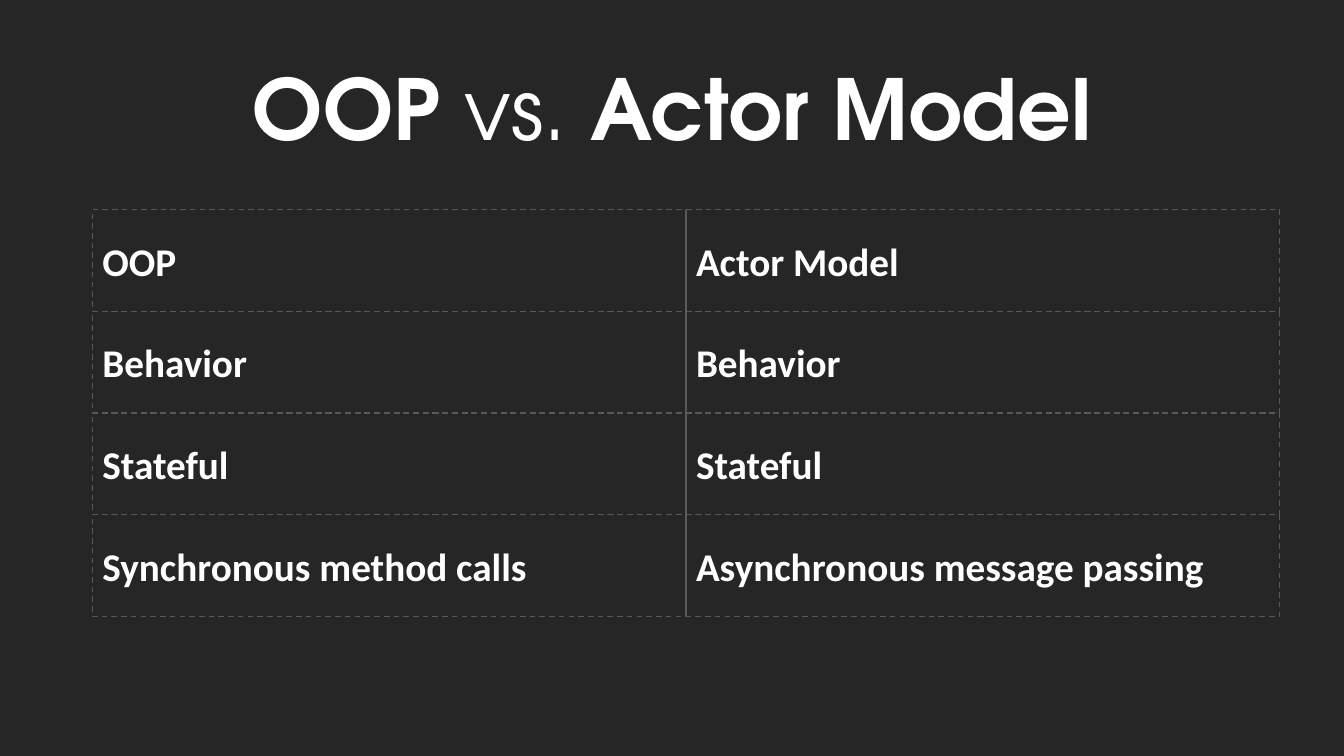
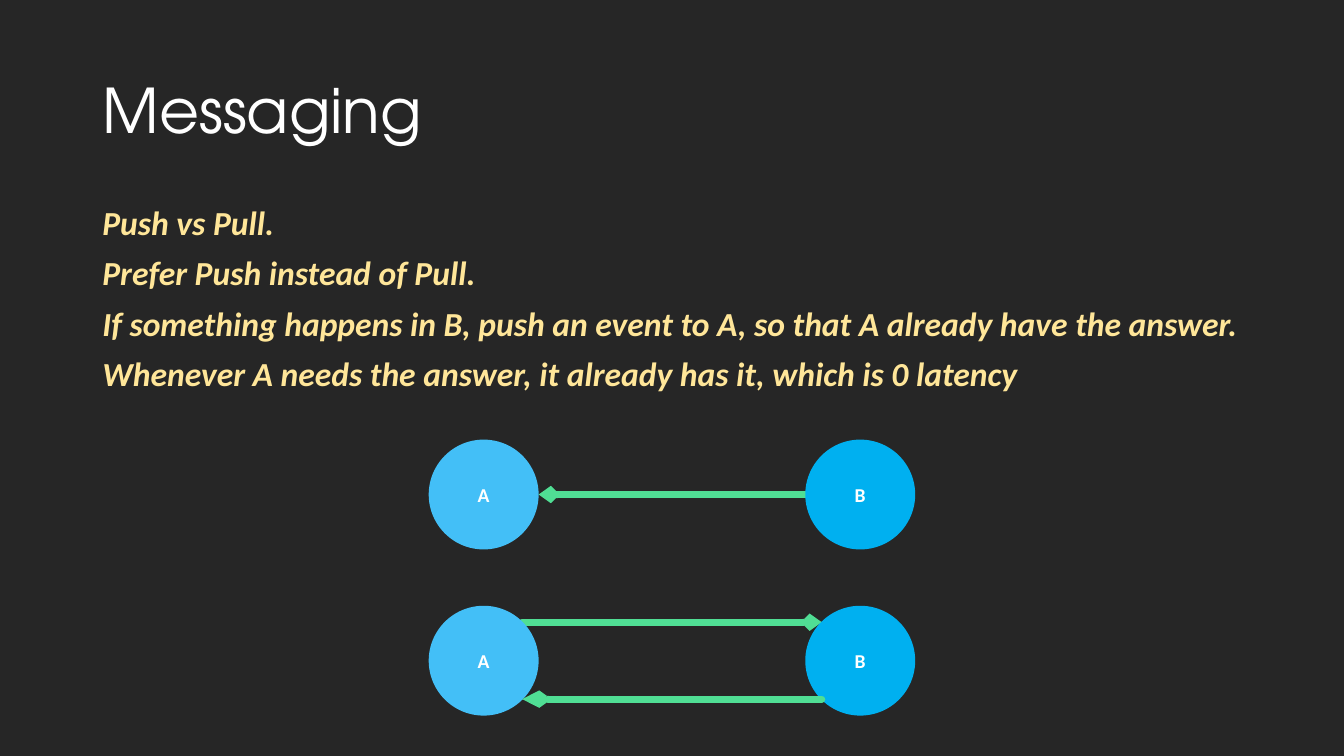
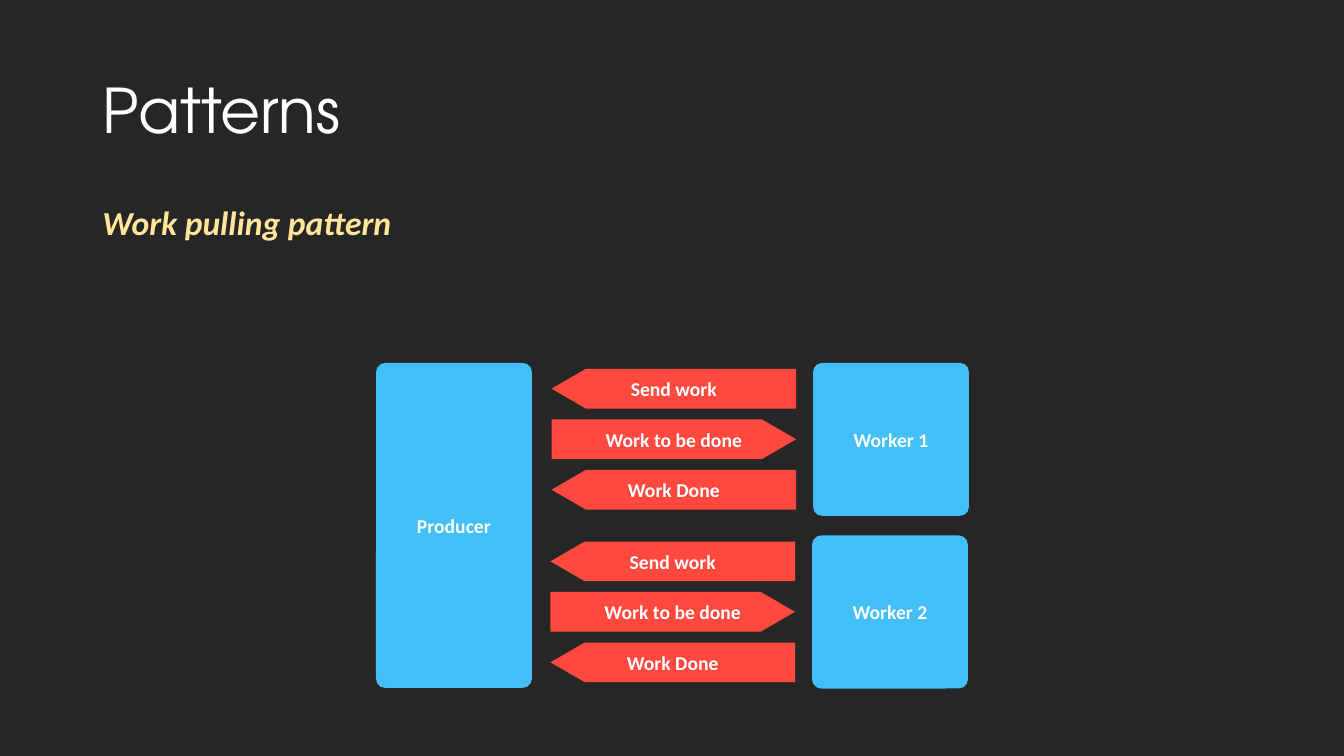
from dataclasses import dataclass

from pptx import Presentation, util as u
from pptx.dml.color import RGBColor
from pptx.enum import dml, shapes, text
from pptx.oxml import parse_xml
from pptx.oxml.ns import nsdecls

KIND = shapes.MSO_SHAPE
MID = text.MSO_ANCHOR.MIDDLE
LEFT, CENTER = text.PP_ALIGN.LEFT, text.PP_ALIGN.CENTER


@dataclass(frozen=True)
class Theme:
    back: str = "262626"
    ink: str = "FFFFFF"
    sand: str = "FFE699"
    rule: str = "595959"
    sky: str = "43BFF7"
    blue: str = "00B0F0"
    green: str = "50DE94"
    red: str = "FF493E"
    head: str = "TeX Gyre Adventor"
    body: str = "Calibri"
    hero: int = 60
    title: int = 44
    cell: int = 28
    lead: int = 24
    label: int = 14


T = Theme()


def write(frame, *lines, size=T.label, font=T.body, color=T.ink, bold=True,
          italic=False, align=CENTER, anchor=MID, space=1.0, gap=0):
    """Fill a frame; a line is a string or a list of (words, bold) runs."""
    frame.word_wrap = True
    frame.auto_size = text.MSO_AUTO_SIZE.NONE
    frame.vertical_anchor = anchor
    for i, line in enumerate(lines):
        para = frame.add_paragraph() if i else frame.paragraphs[0]
        para.alignment = align
        para.line_spacing = space
        para.space_before = u.Pt(gap if i else 0)
        for words, heavy in [(line, bold)] if isinstance(line, str) else line:
            run = para.add_run()
            run.text = words
            face = run.font
            face.name, face.size = font, u.Pt(size)
            face.bold, face.italic = heavy, italic
            face.color.rgb = RGBColor.from_string(color)


class Deck:
    """Style and current slide; lengths are percent of slide width and height."""

    def __init__(self):
        self.prs = Presentation()
        self.prs.slide_width, self.prs.slide_height = u.Inches(13.333), u.Inches(7.5)
        fill = self.prs.slide_master.background.fill
        fill.solid()
        fill.fore_color.rgb = RGBColor.from_string(T.back)

    def wide(self, share):
        return round(self.prs.slide_width * share / 100)

    def high(self, share):
        return round(self.prs.slide_height * share / 100)

    def area(self, x, y, w, h):
        return self.wide(x), self.high(y), self.wide(w), self.high(h)

    def slide(self, title, size=T.title, align=LEFT):
        page = self.prs.slides.add_slide(self.prs.slide_layouts[5])
        self.shapes = page.shapes
        box = page.shapes.title
        box.left, box.top, box.width, box.height = self.area(6.88, 5.33, 86.25, 19.33)
        write(box.text_frame, title, size=size, font=T.head, bold=False,
              align=align, space=0.9)

    def lead(self, *lines):
        box = self.shapes.add_textbox(*self.area(6.88, 26.67, 86.25, 31.33))
        write(box.text_frame, *lines, size=T.lead, color=T.sand, italic=True,
              align=LEFT, anchor=text.MSO_ANCHOR.TOP, space=0.9, gap=10)

    def paint(self, item, color, label):
        item.shadow.inherit = False
        item.fill.solid()
        item.fill.fore_color.rgb = RGBColor.from_string(color)
        item.line.fill.background()
        write(item.text_frame, label)

    def shape(self, kind, x, y, w, h, color, label):
        item = self.shapes.add_shape(kind, *self.area(x, y, w, h))
        if kind == KIND.ROUNDED_RECTANGLE:
            item.adjustments[0] = 0.06
        self.paint(item, color, label)

    def frame(self, x, y, w, h, label):
        """Unfilled box with a dashed outline."""
        item = self.shapes.add_shape(KIND.RECTANGLE, *self.area(x, y, w, h))
        item.shadow.inherit = False
        item.fill.background()
        item.line.width = u.Pt(1)
        item.line.color.rgb = RGBColor.from_string(T.rule)
        item.line.dash_style = dml.MSO_LINE.DASH
        write(item.text_frame, label, size=T.cell, align=LEFT)

    def tag(self, x, y, w, h, label, back):
        """Pointed tag; it points left when back is set."""
        edge = [(0, 0), (0.86, 0), (1, 0.5), (0.86, 1), (0, 1)]
        dots = [(self.wide(x + w * (1 - a if back else a)), self.high(y + h * b))
                for a, b in edge]
        form = self.shapes.build_freeform(*dots[0])
        form.add_line_segments(dots[1:], close=True)
        self.paint(form.convert_to_shape(), T.red, label)

    def arrow(self, start, end, y, length="sm"):
        line = self.shapes.add_connector(
            shapes.MSO_CONNECTOR.STRAIGHT, self.wide(start), self.high(y),
            self.wide(end), self.high(y))
        line.line.width = u.Pt(5)
        line.line.color.rgb = RGBColor.from_string(T.green)
        pen = line.line._get_or_add_ln()
        pen.set("cap", "rnd")
        pen.append(parse_xml(f'<a:round {nsdecls("a")}/>'))
        pen.append(parse_xml(
            f'<a:tailEnd {nsdecls("a")} type="arrow" w="sm" len="{length}"/>'))
        line._element.spPr.append(parse_xml(f'<a:effectLst {nsdecls("a")}/>'))


def compare(deck):
    deck.slide([("OOP ", True), ("vs. ", False), ("Actor Model", True)],
               size=T.hero, align=CENTER)
    rows = [("OOP", "Actor Model"),
            ("Behavior", "Behavior"),
            ("Stateful", "Stateful"),
            ("Synchronous method calls", "Asynchronous message passing")]
    w, h = 44.17, 13.45
    for r, row in enumerate(rows):
        for c, label in enumerate(row):
            deck.frame(6.88 + c * w, 27.73 + r * h, w, h, label)


def message(deck):
    deck.slide("Messaging")
    deck.lead("Push vs Pull.",
              "Prefer Push instead of Pull.",
              "If something happens in B, push an event to A, so that A already have the answer.",
              "Whenever A needs the answer, it already has it, which is 0 latency")
    a, b, w, h = 31.9, 59.92, 8.18, 14.53
    push, pull = 58.15, 80.13
    # Diagonal points lie this share in from the edges of a circle
    inset = 0.15
    near, far = a + w * (1 - inset), b + w * inset

    def pair(y):
        deck.shape(KIND.OVAL, a, y, w, h, T.sky, "A")
        deck.shape(KIND.OVAL, b, y, w, h, T.blue, "B")

    # Push: one event
    deck.arrow(b, a + w, push + h / 2)
    pair(push)
    # Pull: request and reply
    deck.arrow(near, far, pull + h * inset)
    pair(pull)
    deck.arrow(far, near, pull + h * (1 - inset), length="med")


def pattern(deck):
    deck.slide("Patterns")
    deck.lead("Work pulling pattern")
    top, w, step = 48, 11.6, 22.83
    block = KIND.ROUNDED_RECTANGLE
    deck.shape(block, 27.98, top, w, 43, T.sky, "Producer")
    # One worker and its three messages per group
    for i in range(2):
        y, shift = top + i * step, -0.08 * i
        deck.shape(block, 60.5 + shift, y, w, 20.25, T.sky, f"Worker {i + 1}")
        for j, label in enumerate(("Send work", "Work to be done", "Work Done")):
            deck.tag(41.04 + shift, y + 0.8 + 6.68 * j, 18.2, 5.25, label, j != 1)


def main():
    deck = Deck()
    for build in (compare, message, pattern):
        build(deck)
    deck.prs.save("out.pptx")


if __name__ == "__main__":
    main()
